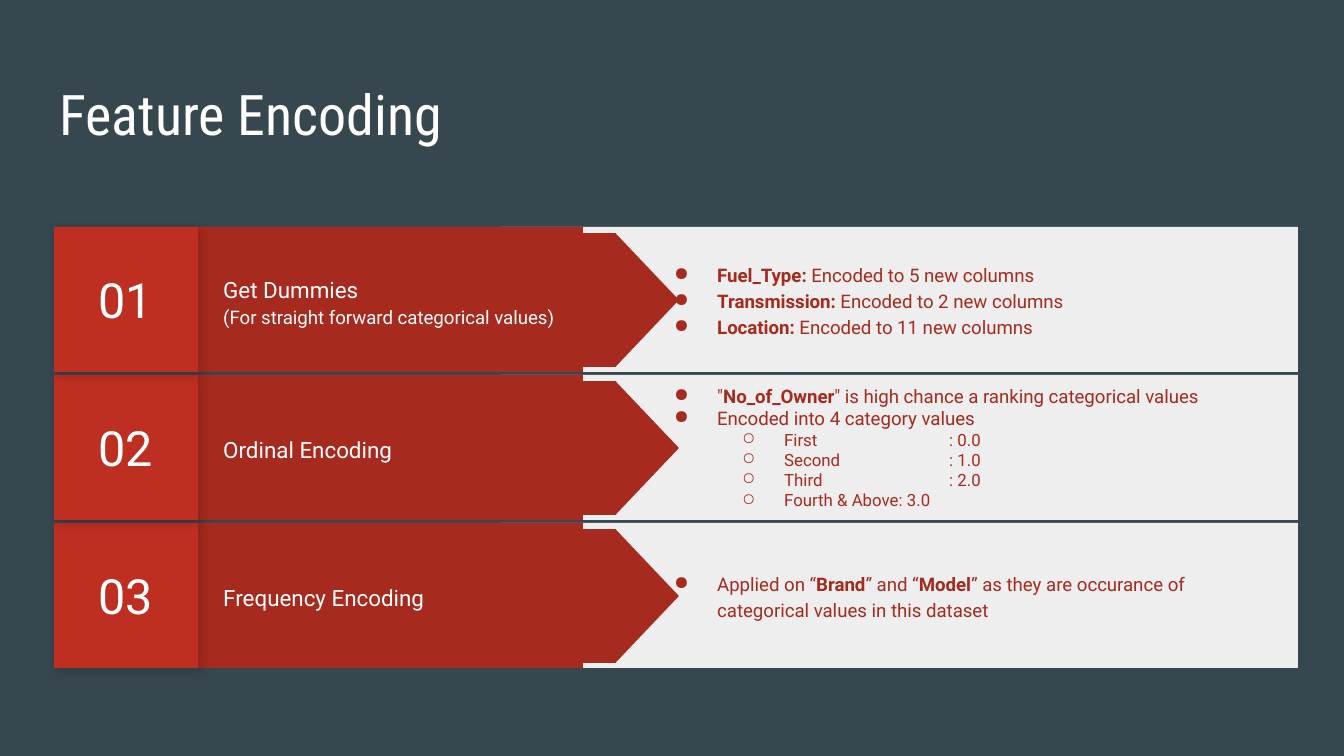
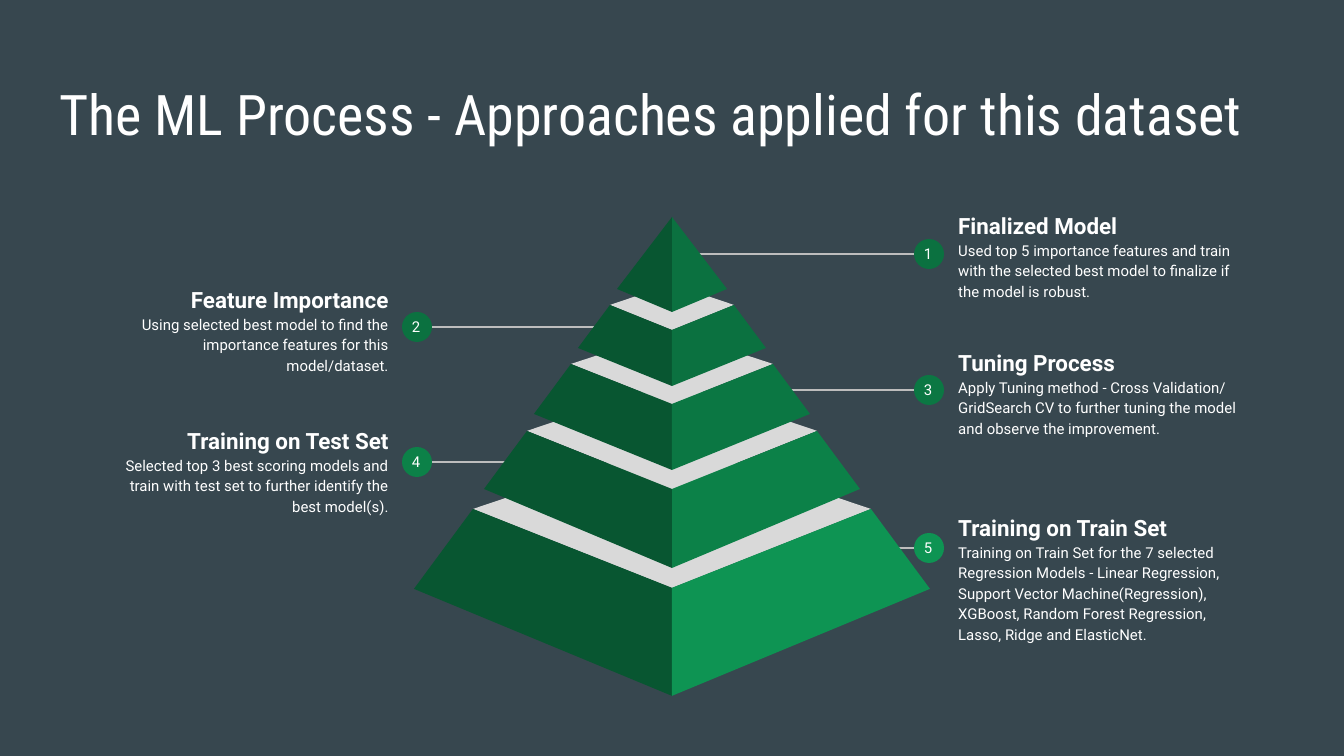
import pptx
import pptx.util
import pptx.dml.color
import pptx.enum.shapes
import pptx.enum.text
import pptx.oxml.ns
from lxml import etree

SCALE = 914400 / 134.4
WHITE, SLATE, PALE, GREY, LINE = "FFFFFF", "37474F", "EEEEEE", "D9D9D9", "BDBDBD"
BRICK, RED, RUST = "A72A1E", "BE2F22", "B02C20"
DARK = "085631"
KIND = pptx.enum.shapes.MSO_SHAPE
ALIGN = pptx.enum.text.PP_ALIGN
ANCHOR = pptx.enum.text.MSO_ANCHOR
MID_X = 672

ROWS = [
    ("01", ["Get Dummies", ("(For straight forward categorical values)", 10)],
     ["**Fuel_Type:** Encoded to 5 new columns",
      "**Transmission: **Encoded to 2 new columns",
      "**Location: **Encoded to 11 new columns"], 1.15),
    ("02", ["Ordinal Encoding"],
     ['"**No_of_Owner**" is high chance a ranking categorical values',
      "Encoded into 4 category values",
      ("First\t: 0.0", 9, 1), ("Second\t: 1.0", 9, 1),
      ("Third\t: 2.0", 9, 1), ("Fourth & Above: 3.0", 9, 1)], None),
    ("03", ["Frequency Encoding"],
     ["Applied on “**Brand**” and “**Model**” as they are occurance of "
      "categorical values in this dataset"], 1.15),
]

NOTES = [
    ("1", "right", 254, 695, 199, 110, "0B7140", "Finalized Model",
     "Used top 5 importance features and train with the selected best model "
     "to finalize if the model is robust."),
    ("3", "right", 390, 774, 336, 110, "0B7743", "Tuning Process",
     "Apply Tuning method - Cross Validation/ GridSearch CV to further tuning "
     "the model and observe the improvement."),
    ("5", "right", 548, 849, 495, 163, "0E9453", "Training on Train Set",
     "Training on Train Set for the 7 selected Regression Models - Linear "
     "Regression, Support Vector Machine(Regression), XGBoost, Random Forest "
     "Regression, Lasso, Ridge and ElasticNet."),
    ("2", "left", 327, 598, 273, 110, "0B7140", "Feature Importance",
     "Using selected best model to find the importance features for this "
     "model/dataset."),
    ("4", "left", 462, 532, 407, 124, "0C8148", "Training on Test Set",
     "Selected top 3 best scoring models and train with test set to further "
     "identify the best model(s)."),
]

TIERS = [
    (442, 199, 509, 588, 258, 589, 696, "0E9453"),
    (382, 145, 431, 489, 188, 489, 568, "0C8148"),
    (331, 101, 364, 404, 138, 414, 470, "0B7743"),
    (284, 62, 305, 330, 94, 348, 386, "0B7140"),
    (217, 0, 217, 217, 55, 289, 312, "0B7140"),
]


def px(size):
    """Turn pixels into EMU."""
    return pptx.util.Emu(round(size * SCALE))


def rgb(code):
    """Turn a hex string into a colour."""
    return pptx.dml.color.RGBColor.from_string(code)


def node(home, tag, **attrs):
    """Add a drawing element to an XML parent."""
    child = etree.SubElement(home, pptx.oxml.ns.qn("a:" + tag))
    for name, value in attrs.items():
        child.set(name, str(value))
    return child


def paint(shape, color):
    """Give a shape a flat fill without line or shadow."""
    shape.shadow.inherit = False
    shape.fill.solid()
    shape.fill.fore_color.rgb = rgb(color)
    shape.line.fill.background()
    return shape


def block(slide, kind, x, y, w, h, color):
    """Add a flat preset shape."""
    return paint(slide.shapes.add_shape(kind, px(x), px(y), px(w), px(h)), color)


def facet(slide, points, color):
    """Add a flat polygon."""
    spots = [(px(x), px(y)) for x, y in points]
    pen = slide.shapes.build_freeform(*spots[0], scale=1.0)
    pen.add_line_segments(spots[1:], close=True)
    return paint(pen.convert_to_shape(), color)


def shade(shape):
    """Add a soft drop shadow."""
    list_ = shape._element.spPr.find(pptx.oxml.ns.qn("a:effectLst"))
    drop = node(list_, "outerShdw", blurRad=71120, dist=27940, dir=2700000,
                algn="bl", rotWithShape=0)
    node(node(drop, "srgbClr", val="000000"), "alpha", val=17000)


def bullet(para, level, color):
    """Give a paragraph a hanging bullet and tab stops."""
    props = para._p.get_or_add_pPr()
    props.set("marL", str(px(67 * (level + 1))))
    props.set("indent", str(px(-42 if level else -43)))
    node(node(props, "buClr"), "srgbClr", val=color)
    node(props, "buChar", char="○" if level else "●")
    if level:
        tabs = node(props, "tabLst")
        for stop in (164, 299):
            node(tabs, "tab", pos=px(stop), algn="l")


def write(shape, items, size=12, color=WHITE, font="Roboto", align=ALIGN.LEFT,
          anchor=ANCHOR.MIDDLE, space=None, after=None, dots=False):
    """Fill a shape with paragraphs, where ** marks bold."""
    frame = shape.text_frame
    frame.word_wrap = True
    frame.auto_size = pptx.enum.text.MSO_AUTO_SIZE.NONE
    frame.vertical_anchor = anchor
    frame.margin_left = frame.margin_right = pptx.util.Inches(0.1)
    frame.margin_top = frame.margin_bottom = pptx.util.Inches(0.1)
    for index, item in enumerate(items):
        words, points, level = item, size, 0
        if isinstance(item, tuple):
            words, points, level = (item + (0,))[:3]
        para = frame.add_paragraph() if index else frame.paragraphs[0]
        para.alignment = align
        para.level = level
        if space:
            para.line_spacing = space
        if after and index == len(items) - 1:
            para.space_after = pptx.util.Pt(after)
        if dots:
            bullet(para, level, color)
        for turn, part in enumerate(words.split("**")):
            if part:
                run = para.add_run()
                run.text = part
                run.font.name = font
                run.font.size = pptx.util.Pt(points)
                run.font.bold = turn % 2 == 1
                run.font.color.rgb = rgb(color)


def label(slide, x, y, w, h, items, **style):
    """Add a text box."""
    write(slide.shapes.add_textbox(px(x), px(y), px(w), px(h)), items, **style)


def rule(slide, x1, x2, y):
    """Add a thin level line."""
    line = slide.shapes.add_connector(
        pptx.enum.shapes.MSO_CONNECTOR.STRAIGHT, px(x1), px(y), px(x2), px(y))
    line.line.color.rgb = rgb(LINE)
    line.line.width = pptx.util.Pt(0.75)
    node(line._element.spPr, "effectLst")


def page(deck, title):
    """Add a slide with its title."""
    slide = deck.slides.add_slide(deck.slide_layouts[5])
    head = slide.shapes.title
    head.left, head.top, head.width, head.height = px(46), px(66), px(1253), px(85)
    write(head, [title], size=30, font="Roboto Condensed", anchor=ANCHOR.TOP)
    return slide


def band(slide, top, number, name, facts, space):
    """Draw one numbered row with arrow and facts."""
    block(slide, KIND.RECTANGLE, 500, top, 798, 145, PALE)
    block(slide, KIND.RECTANGLE, 198, top, 385, 145, BRICK)
    arrow = block(slide, KIND.FLOWCHART_OFFPAGE_CONNECTOR,
                  453, top - 86, 134, 318, BRICK)
    arrow.rotation = 270
    label(slide, 210, top + 17, 406, 112, name, space=1.15)
    shade(block(slide, KIND.RECTANGLE, 54, top, 144, 145, RUST))
    tile = block(slide, KIND.RECTANGLE, 54, top, 144, 145, RED)
    write(tile, [number], size=26, align=ALIGN.CENTER)
    label(slide, 637, top, 621, 145, facts, size=10, color=BRICK,
          space=space, dots=True)


def note(slide, number, side, y, start, top, high, color, name, body):
    """Draw one callout with line, badge and text."""
    right = side == "right"
    dot = 914 if right else 402
    rule(slide, start, 938 if right else 409, y)
    block(slide, KIND.OVAL, dot, y - 15, 30, 30, color)
    label(slide, dot - 4, y - 23, 36, 46, [number], size=8,
          align=ALIGN.CENTER, anchor=ANCHOR.TOP, after=16)
    label(slide, 945 if right else 89, top, 313, high,
          ["**" + name + "**", (body, 8)], space=1.15, after=16,
          align=ALIGN.LEFT if right else ALIGN.RIGHT)


def tier(slide, back, rim, edge, front, base, foot, tip, color):
    """Draw one pyramid layer: lid, left face and right face."""
    if rim:
        facet(slide, [(MID_X - rim, edge), (MID_X, front),
                      (MID_X + rim, edge), (MID_X, back)], GREY)
    for sign, tone in ((-1, DARK), (1, color)):
        ring = [(MID_X + sign * rim, edge), (MID_X, front),
                (MID_X, tip), (MID_X + sign * base, foot)]
        facet(slide, ring if rim else ring[1:], tone)


def main():
    """Build and save the deck."""
    deck = pptx.Presentation()
    deck.slide_width, deck.slide_height = px(1344), px(756)
    fill = deck.slide_master.background.fill
    fill.solid()
    fill.fore_color.rgb = rgb(SLATE)

    slide = page(deck, "Feature Encoding")
    for index, row in reversed(list(enumerate(ROWS))):
        band(slide, 227 + 148 * index, *row)

    slide = page(deck, "The ML Process - Approaches applied for this dataset")
    for item in NOTES:
        note(slide, *item)
    for layer in TIERS:
        tier(slide, *layer)

    deck.save("out.pptx")


main()
